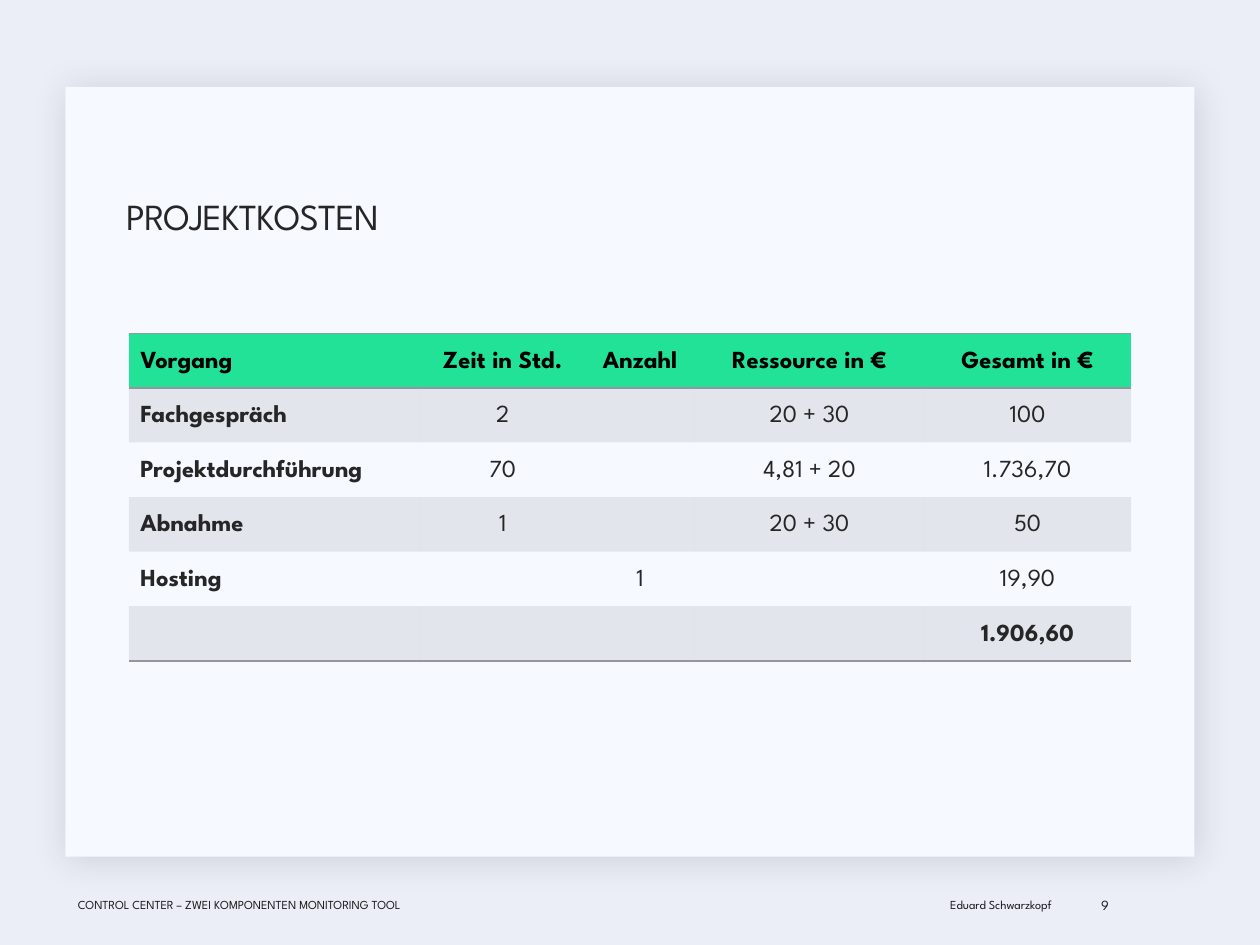
from dataclasses import dataclass

from pptx import Presentation
from pptx.dml.color import RGBColor
from pptx.enum.shapes import MSO_SHAPE
from pptx.enum.text import MSO_ANCHOR, PP_ALIGN
from pptx.oxml import parse_xml
from pptx.oxml.ns import nsdecls, qn
from pptx.util import Cm, Pt

LEFT, CENTER, RIGHT = PP_ALIGN.LEFT, PP_ALIGN.CENTER, PP_ALIGN.RIGHT
MIDDLE = MSO_ANCHOR.MIDDLE
RECT = MSO_SHAPE.RECTANGLE
FONT = "League Spartan"
INK, DARK, BLACK = "262626", "191919", "000000"
GREEN, GRAY = "22E298", "96969C"
PLAIN = "{2D5ABB26-0587-4C30-8999-92F81FD0307C}"

WIDTHS = [5.87, 3.33, 2.21, 4.62, 4.17]
HEIGHT = 1.1
ROWS = [
    ["Vorgang", "Zeit in Std.", "Anzahl", "Ressource in €", "Gesamt in €"],
    ["Fachgespräch", "2", "", "20 + 30", "100"],
    ["Projektdurchführung", "70", "", "4,81 + 20", "1.736,70"],
    ["Abnahme", "1", "", "20 + 30", "50"],
    ["Hosting", "", "1", "", "19,90"],
    ["", "", "", "", "1.906,60"],
]


@dataclass
class Note:
    text: str
    left: float
    width: float
    size: float
    align: PP_ALIGN = LEFT


NOTES = [
    Note("Eduard Schwarzkopf", 16.15, 5.3, 7, RIGHT),
    Note("CONTROL CENTER – ZWEI KOMPONENTEN MONITORING TOOL", 1.32, 14.2, 7),
    Note("9", 21.95, 1.63, 8),
]


def color(code: str) -> RGBColor:
    return RGBColor.from_string(code)


def style(para, size: float, code: str, bold: bool = False) -> None:
    for run in para.runs:
        font = run.font
        font.name, font.size, font.bold = FONT, Pt(size), bold
        font.color.rgb = color(code)


def add_panel(slide) -> None:
    panel = slide.shapes.add_shape(RECT, Cm(1.32), Cm(1.75), Cm(22.76), Cm(15.52))
    panel.fill.solid()
    panel.fill.fore_color.rgb = color("F6F9FF")
    panel.line.fill.background()
    panel._element.spPr.append(parse_xml(
        f'<a:effectLst {nsdecls("a")}>'
        f'<a:outerShdw blurRad="{Pt(20)}" dist="{Pt(2)}" dir="2700000" algn="tl" rotWithShape="0">'
        '<a:srgbClr val="1F2125"><a:alpha val="15000"/></a:srgbClr>'
        '</a:outerShdw></a:effectLst>'))
    slide.shapes._spTree.insert(2, panel._element)


def add_note(slide, note: Note) -> None:
    box = slide.shapes.add_textbox(Cm(note.left), Cm(17.73), Cm(note.width), Cm(1.02))
    frame = box.text_frame
    frame.word_wrap = True
    frame.vertical_anchor = MIDDLE
    frame.text = note.text
    para = frame.paragraphs[0]
    para.alignment = note.align
    style(para, note.size, DARK)


def set_title(slide) -> None:
    title = slide.shapes.title
    title.left, title.top = Cm(2.29), Cm(2.62)
    title.width, title.height = Cm(20.96), Cm(3.58)
    frame = title.text_frame
    frame.text = "PROJEKTKOSTEN"
    frame.vertical_anchor = MIDDLE
    para = frame.paragraphs[0]
    para.alignment, para.line_spacing = LEFT, 0.9
    style(para, 21, INK)
    para.runs[0].font._element.set("spc", "-40")


def set_fill(cell, row: int) -> None:
    if row and row % 2 == 0:
        cell.fill.background()
        return
    cell.fill.solid()
    cell.fill.fore_color.rgb = color(GRAY if row else GREEN)
    if row:
        tone = cell._tc.tcPr.find(f"{qn('a:solidFill')}/{qn('a:srgbClr')}")
        tone.append(parse_xml(f'<a:alpha {nsdecls("a")} val="20000"/>'))


def set_edges(cell, sides: str) -> None:
    for spot, side in enumerate(sides):
        cell._tc.tcPr.insert(spot, parse_xml(
            f'<a:ln{side} {nsdecls("a")} w="{Pt(1)}"><a:solidFill>'
            f'<a:srgbClr val="{GRAY}"/></a:solidFill></a:ln{side}>'))


def set_text(cell, text: str, row: int, col: int) -> None:
    cell.vertical_anchor = MIDDLE
    cell.margin_left = cell.margin_right = Cm(0.23)
    cell.margin_top = cell.margin_bottom = 0
    cell.text_frame.text = text
    para = cell.text_frame.paragraphs[0]
    para.alignment = CENTER if col else LEFT
    para.line_spacing, para.space_after = 1.15, Pt(10)
    bold = col == 0 or row in (0, len(ROWS) - 1)
    style(para, 14, INK if row else BLACK, bold)


def add_costs(slide) -> None:
    last = len(ROWS) - 1
    frame = slide.shapes.add_table(
        len(ROWS), len(WIDTHS), Cm(2.6), Cm(6.72),
        Cm(sum(WIDTHS)), Cm(HEIGHT * len(ROWS)))
    table = frame.table
    table._tbl.tblPr.find(qn("a:tableStyleId")).text = PLAIN
    for col, width in enumerate(WIDTHS):
        table.columns[col].width = Cm(width)
    for row, texts in enumerate(ROWS):
        table.rows[row].height = Cm(HEIGHT)
        for col, text in enumerate(texts):
            cell = table.cell(row, col)
            set_text(cell, text, row, col)
            set_fill(cell, row)
            set_edges(cell, {0: "TB", last: "B"}.get(row, ""))


def main() -> None:
    deck = Presentation()
    deck.slide_width, deck.slide_height = Cm(25.4), Cm(19.05)
    slide = deck.slides.add_slide(deck.slide_layouts[5])
    back = slide.background.fill
    back.solid()
    back.fore_color.rgb = color("ECEEF7")
    add_panel(slide)
    for note in NOTES:
        add_note(slide, note)
    add_costs(slide)
    set_title(slide)
    deck.save("out.pptx")


if __name__ == "__main__":
    main()
